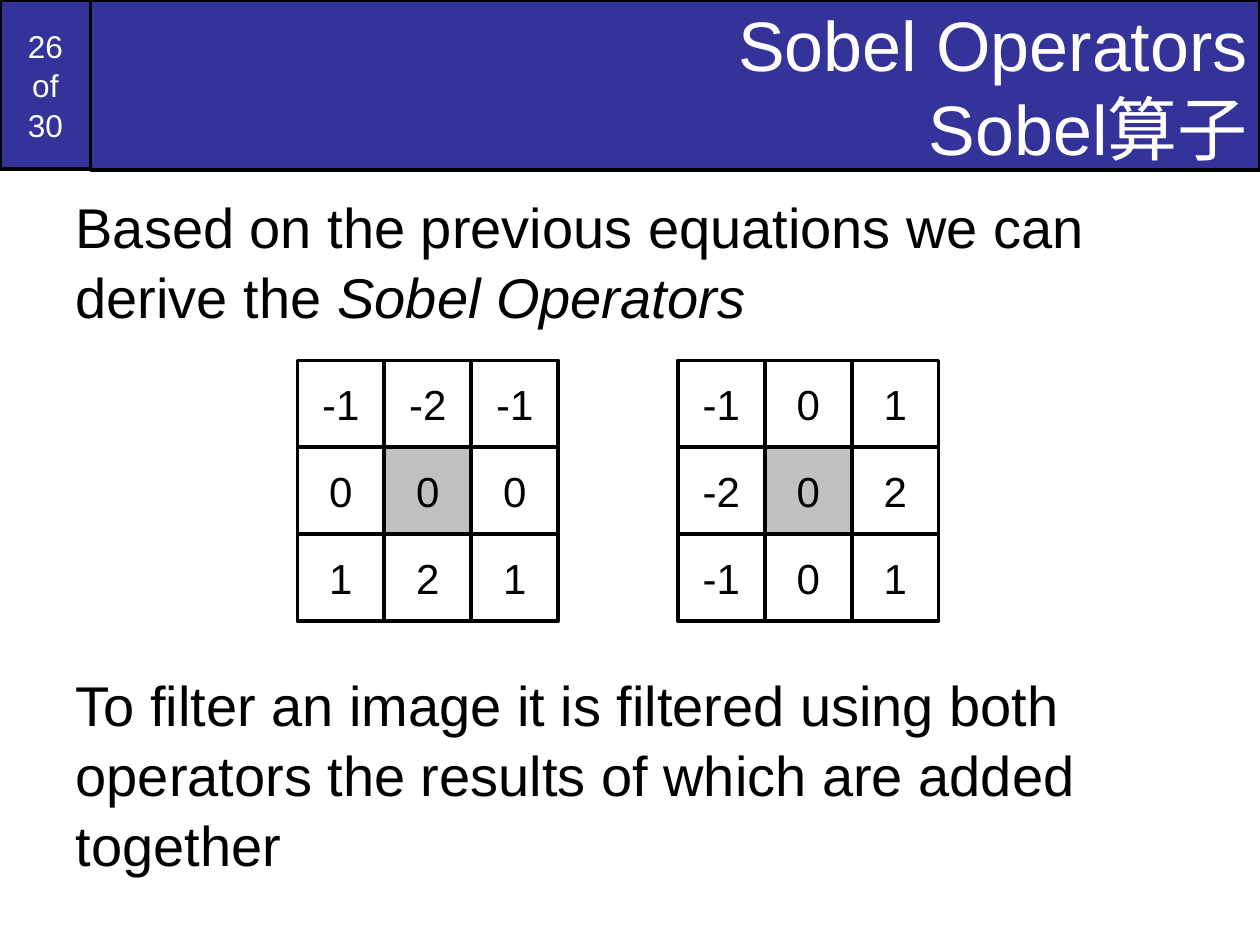
from pptx import Presentation
from pptx.dml.color import RGBColor
from pptx.enum.shapes import MSO_SHAPE
from pptx.enum.text import MSO_ANCHOR, MSO_AUTO_SIZE, PP_ALIGN
from pptx.oxml.xmlchemy import OxmlElement
from pptx.util import Inches, Pt


def color(value):
    return RGBColor.from_string(value)


class SlideBuilder:
    font_name = "Arial"
    blue, white, black, gray = "333399", "FFFFFF", "000000", "C0C0C0"
    line_width = 2
    body_spacing = 1.04

    def __init__(self, presentation):
        self.slide = presentation.slides.add_slide(presentation.slide_layouts[1])

    def place(self, shape, left, top, width, height):
        shape.left, shape.top = Inches(left), Inches(top)
        shape.width, shape.height = Inches(width), Inches(height)

    def paint(self, shape, fill):
        shape.fill.solid()
        shape.fill.fore_color.rgb = color(fill)
        shape.line.color.rgb = color(self.black)
        shape.line.width = Pt(self.line_width)

    def format_text(self, paragraph, size, text_color, alignment):
        paragraph.alignment = alignment
        for run in paragraph.runs:
            run.font.name = self.font_name
            run.font.size = Pt(size)
            run.font.color.rgb = color(text_color)

    def title(self, text, left, top, width, height):
        shape = self.slide.shapes.title
        self.place(shape, left, top, width, height)
        self.paint(shape, self.blue)
        text_frame = shape.text_frame
        text_frame.text = text
        text_frame.auto_size = MSO_AUTO_SIZE.NONE
        text_frame.vertical_anchor = MSO_ANCHOR.MIDDLE
        self.format_text(text_frame.paragraphs[0], 40, self.white, PP_ALIGN.RIGHT)

    def body(self, paragraphs, gap, left, top, width, height):
        shape = self.slide.placeholders[1]
        self.place(shape, left, top, width, height)
        text_frame = shape.text_frame
        text_frame.auto_size = MSO_AUTO_SIZE.NONE
        for index, runs in enumerate(paragraphs):
            paragraph = text_frame.paragraphs[0] if index == 0 else text_frame.add_paragraph()
            properties = paragraph._p.get_or_add_pPr()
            properties.set("marL", "0")
            properties.set("indent", "0")
            properties.append(OxmlElement("a:buNone"))
            paragraph.space_before = Pt(gap if index else 0)
            paragraph.line_spacing = self.body_spacing
            for text, italic in runs:
                run = paragraph.add_run()
                run.text = text
                run.font.italic = italic
            self.format_text(paragraph, 32, self.black, PP_ALIGN.LEFT)

    def box(self, shapes, text, left, top, width, height, fill, size, text_color):
        shape = shapes.add_shape(
            MSO_SHAPE.RECTANGLE, Inches(left), Inches(top), Inches(width), Inches(height)
        )
        shape.shadow.inherit = False
        self.paint(shape, fill)
        text_frame = shape.text_frame
        text_frame.text = text
        text_frame.word_wrap = False
        text_frame.vertical_anchor = MSO_ANCHOR.MIDDLE
        paragraph = text_frame.paragraphs[0]
        self.format_text(paragraph, size, text_color, PP_ALIGN.CENTER)
        return paragraph

    def page_number(self, text, left, top, width, height):
        paragraph = self.box(
            self.slide.shapes, text, left, top, width, height, self.blue, 18, self.white
        )
        paragraph.line_spacing = self.body_spacing

    def operator(self, rows, left, top, cell):
        group = self.slide.shapes.add_group_shape()
        for row, values in enumerate(rows):
            for column, value in enumerate(values):
                fill = self.gray if row == column == 1 else self.white
                self.box(
                    group.shapes, str(value), left + column * cell, top + row * cell,
                    cell, cell, fill, 24, self.black,
                )


def main():
    presentation = Presentation()
    presentation.slide_width = Inches(10)
    presentation.slide_height = Inches(7.5)

    builder = SlideBuilder(presentation)
    builder.page_number("26\vof\v30", 0, 0, 0.72, 1.34)
    builder.title("Sobel Operators\vSobel算子", 0.72, 0, 9.28, 1.35)
    builder.body(
        [
            [("Based on the previous equations we can derive the ", False),
             ("Sobel Operators", True)],
            [("To filter an image it is filtered using both operators "
              "the results of which are added together", False)],
        ],
        193, 0.5, 1.46, 9.5, 6.04,
    )
    builder.operator([(-1, -2, -1), (0, 0, 0), (1, 2, 1)], 2.36, 2.86, 0.69)
    builder.operator([(-1, 0, 1), (-2, 0, 2), (-1, 0, 1)], 5.38, 2.86, 0.69)
    presentation.save("out.pptx")


if __name__ == "__main__":
    main()
